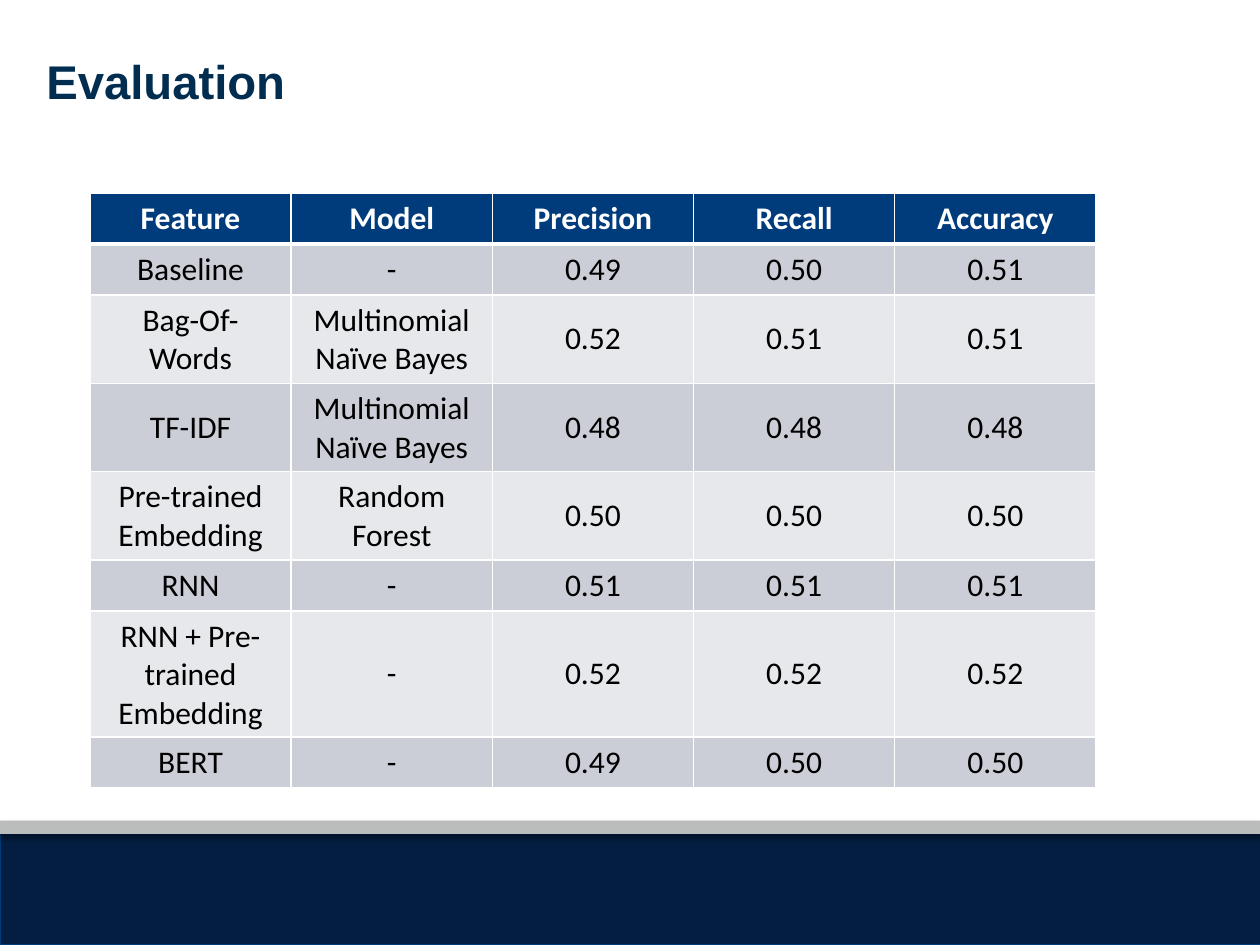
from lxml import etree
from pptx import Presentation
from pptx.dml.color import RGBColor
from pptx.enum import shapes, text
from pptx.oxml import parse_xml
from pptx.oxml.ns import nsdecls, qn
from pptx.util import Pt

HEAD = ("Feature", "Model", "Precision", "Recall", "Accuracy")
ROWS = (
    ("Baseline", "-", "0.49", "0.50", "0.51"),
    ("Bag-Of-Words", "Multinomial Naïve Bayes", "0.52", "0.51", "0.51"),
    ("TF-IDF", "Multinomial Naïve Bayes", "0.48", "0.48", "0.48"),
    ("Pre-trained Embedding", "Random Forest", "0.50", "0.50", "0.50"),
    ("RNN", "-", "0.51", "0.51", "0.51"),
    ("RNN + Pre-trained Embedding", "-", "0.52", "0.52", "0.52"),
    ("BERT", "-", "0.49", "0.50", "0.50"),
)
BANDS = ("CCCED7", "E7E8EC")


def color(code):
    return RGBColor.from_string(code)


def paint(item, code):
    item.fill.solid()
    item.fill.fore_color.rgb = color(code)


def write(para, words, face, size, code, bold=False):
    run = para.add_run()
    run.text = words
    font = run.font
    font.name, font.size, font.bold = face, Pt(size), bold
    font.color.rgb = color(code)


def shade(shape):
    """Give the shape a soft shadow straight below it."""
    shape.shadow.inherit = False
    effects = shape._element.spPr.find(qn("a:effectLst"))
    effects.append(parse_xml(
        f'<a:outerShdw {nsdecls("a")} blurRad="{Pt(3.1)}" dist="{Pt(1.8)}" '
        'dir="5400000" rotWithShape="0"><a:srgbClr val="000000">'
        '<a:alpha val="35000"/></a:srgbClr></a:outerShdw>'))


def bar(slide, top, width, height, fill, line=None):
    shape = slide.shapes.add_shape(
        shapes.MSO_SHAPE.RECTANGLE, 0, Pt(top), Pt(width), Pt(height))
    paint(shape, fill)
    if line:
        shape.line.color.rgb = color(line)
        shape.line.width = Pt(0.75)
    else:
        shape.line.fill.background()
    shade(shape)


def title(slide, words):
    box = slide.shapes.add_textbox(Pt(21), Pt(24.5), Pt(648), Pt(46.8))
    frame = box.text_frame
    frame.word_wrap = True
    frame.margin_left = frame.margin_right = Pt(5.5)
    frame.margin_top, frame.margin_bottom = Pt(5.4), Pt(2.7)
    write(frame.paragraphs[0], words, "Arial", 27, "002D50", True)


def edge(cell, sides):
    """Draw white borders; sides maps a border tag to its width in points."""
    props = cell._tc.get_or_add_tcPr()
    for spot, (tag, width) in enumerate(sides.items()):
        line = etree.Element(qn(f"a:{tag}"), w=str(Pt(width)))
        fill = etree.SubElement(line, qn("a:solidFill"))
        etree.SubElement(fill, qn("a:srgbClr"), val="FFFFFF")
        props.insert(spot, line)


def grid(slide, left, top, width, height):
    """Add the score table, with equal columns and equal least row heights."""
    rows = (HEAD, *ROWS)
    table = slide.shapes.add_table(
        len(rows), len(HEAD), Pt(left), Pt(top),
        Pt(width * len(HEAD)), Pt(height * len(rows))).table
    for col in table.columns:
        col.width = Pt(width)
    for r, row in enumerate(rows):
        table.rows[r].height = Pt(height)
        first = r == 0
        fill = "003B7C" if first else BANDS[(r - 1) % 2]
        ink = "FFFFFF" if first else "000000"
        sides = {"lnL": 1, "lnR": 1, "lnT": 3 if r == 1 else 1,
                 "lnB": 3 if first else 1}
        for c, words in enumerate(row):
            cell = table.cell(r, c)
            paint(cell, fill)
            edge(cell, sides)
            cell.vertical_anchor = text.MSO_ANCHOR.MIDDLE
            para = cell.text_frame.paragraphs[0]
            para.alignment = text.PP_ALIGN.CENTER
            write(para, words, "Calibri", 18, ink, first)


def main():
    deck = Presentation()
    deck.slide_width, deck.slide_height = Pt(720), Pt(540)
    slide = deck.slides.add_slide(deck.slide_layouts[6])
    bar(slide, 476.5, 721.5, 63.5, "041E42", "003A79")
    bar(slide, 469, 720, 7.5, "BBBCBC")
    title(slide, "Evaluation")
    grid(slide, 51.4, 110.2, 115, 29.2)
    deck.save("out.pptx")


if __name__ == "__main__":
    main()
